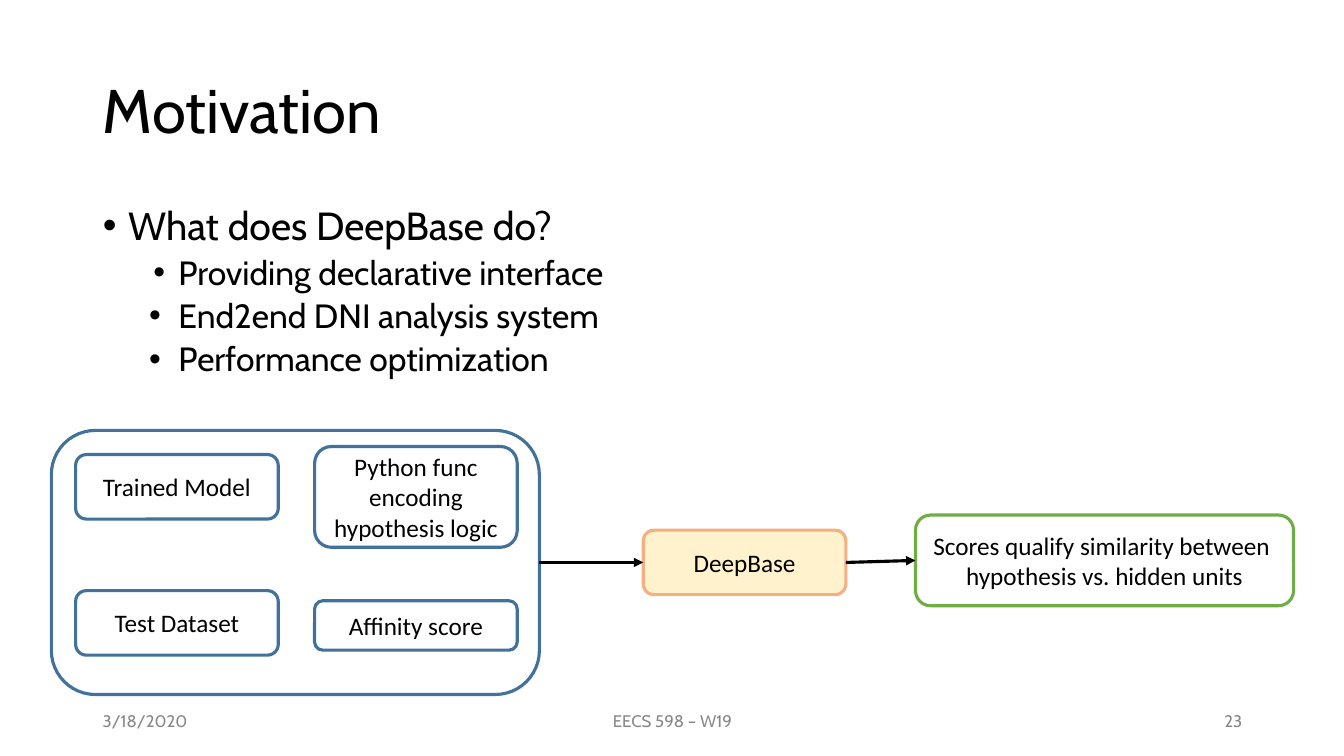
from pptx import Presentation
from pptx.dml.color import RGBColor as RGB
from pptx.enum.shapes import MSO_CONNECTOR as LINE, MSO_SHAPE as SHAPE
from pptx.enum.text import MSO_ANCHOR as ANCHOR, MSO_AUTO_SIZE as AUTO, PP_ALIGN as ALIGN
from pptx.oxml.ns import qn
from pptx.util import Inches, Pt
from lxml.etree import SubElement as Sub

COLORS = {
    "black": "000000", "gray": "888888", "white": "FFFFFF", "blue": "42719B",
    "cream": "FFF2CC", "peach": "F4B081", "green": "70AD47",
}


def color(name):
    return RGB.from_string(COLORS[name])


def write(par, text, size, font="Cabin", ink="black", align=ALIGN.LEFT):
    par.alignment = align
    run = par.add_run()
    run.text = text
    run.font.size = Pt(size)
    run.font.name = font
    run.font.color.rgb = color(ink)


prs = Presentation()
prs.slide_width, prs.slide_height = Inches(13.33), Inches(7.5)
slide = prs.slides.add_slide(prs.slide_layouts[1])
shapes = slide.shapes

# Title and body placeholders
title, body = shapes.title, slide.placeholders[1]
for holder, top, width, height, anchor in [
    (title, 0.4, 11.5, 1.45, ANCHOR.MIDDLE),
    (body, 2, 10.77, 2.03, ANCHOR.TOP),
]:
    holder.left, holder.top = Inches(0.92), Inches(top)
    holder.width, holder.height = Inches(width), Inches(height)
    holder.text_frame.auto_size = AUTO.NONE
    holder.text_frame.vertical_anchor = anchor

head = title.text_frame.paragraphs[0]
head.line_spacing = 0.9
write(head, "Motivation", 44)

# Bulleted list: level, size, space before, left margin, indent
points = [
    ("What does DeepBase do?", 0, 28, 0, 0.25, -0.25),
    ("Providing declarative interface", 1, 24, 5, 0.75, -0.25),
    ("End2end DNI analysis system", 1, 24, 5, 0.75, -0.29),
    ("Performance optimization", 1, 24, 5, 0.75, -0.29),
]
frame = body.text_frame
for i, (text, level, size, space, margin, indent) in enumerate(points):
    par = frame.add_paragraph() if i else frame.paragraphs[0]
    par.level = level
    par.line_spacing = 0.9
    par.space_before = Pt(space)
    write(par, text, size)
    props = par._p.get_or_add_pPr()
    props.set("marL", str(Inches(margin)))
    props.set("indent", str(Inches(indent)))
    Sub(props, qn("a:buFont")).set("typeface", "Arial")
    Sub(props, qn("a:buChar")).set("char", "•")

# Footer row
for text, left, width, align in [
    ("3/18/2020", 0.92, 3, ALIGN.LEFT),
    ("EECS 598 – W19", 4.42, 4.5, ALIGN.CENTER),
    ("23", 9.42, 3, ALIGN.RIGHT),
]:
    foot = shapes.add_textbox(Inches(left), Inches(6.95), Inches(width), Inches(0.4))
    foot.text_frame.word_wrap = True
    foot.text_frame.vertical_anchor = ANCHOR.MIDDLE
    write(foot.text_frame.paragraphs[0], text, 12, ink="gray", align=align)

# Rounded boxes: key, lines of text, place, fill, border
boxes = {}
for key, lines, place, fill, edge in [
    ("inputs", [], (0.51, 4.27, 4.84, 2.62), None, "blue"),
    ("model", ["Trained Model"], (0.75, 4.51, 2.01, 0.64), None, "blue"),
    ("data", ["Test Dataset"], (0.75, 5.86, 2.01, 0.64), None, "blue"),
    ("logic", ["Python func encoding hypothesis logic"], (3.12, 4.43, 2.01, 1), None, "blue"),
    ("score", ["Affinity score"], (3.12, 5.96, 2.01, 0.49), None, "blue"),
    ("system", ["DeepBase"], (6.38, 5.26, 2.01, 0.64), "cream", "peach"),
    ("result", ["Scores qualify similarity between ", "hypothesis vs. hidden units"],
     (9.08, 5.11, 3.75, 0.9), "white", "green"),
]:
    box = shapes.add_shape(SHAPE.ROUNDED_RECTANGLE, *map(Inches, place))
    box.shadow.inherit = False
    if fill:
        box.fill.solid()
        box.fill.fore_color.rgb = color(fill)
    else:
        box.fill.background()
    box.line.color.rgb = color(edge)
    box.line.width = Pt(2.25)
    frame = box.text_frame
    frame.word_wrap = True
    frame.vertical_anchor = ANCHOR.MIDDLE
    for i, text in enumerate(lines):
        par = frame.add_paragraph() if i else frame.paragraphs[0]
        write(par, text, 18, "Calibri", align=ALIGN.CENTER)
    boxes[key] = box

# Arrows from right side to left side
for start, end in [("inputs", "system"), ("system", "result")]:
    arrow = shapes.add_connector(LINE.STRAIGHT, 0, 0, 0, 0)
    arrow.begin_connect(boxes[start], 3)
    arrow.end_connect(boxes[end], 1)
    arrow.line.color.rgb = color("black")
    arrow.line.width = Pt(2.25)
    Sub(arrow.line._get_or_add_ln(), qn("a:tailEnd")).set("type", "triangle")
    Sub(arrow._element.spPr, qn("a:effectLst"))

prs.save("out.pptx")
